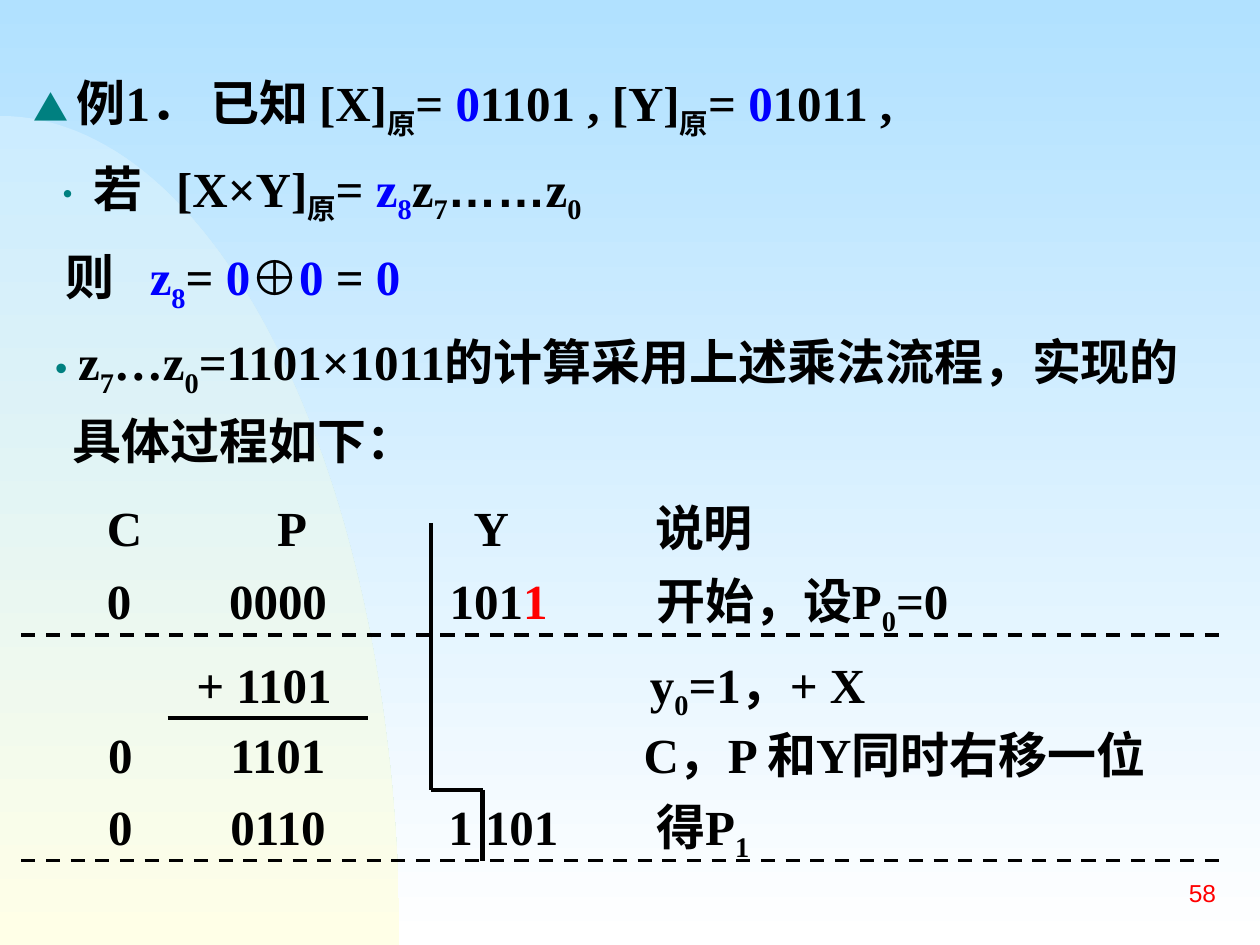
import itertools
from typing import NamedTuple

import pptx
import pptx.dml.color
import pptx.enum.dml
import pptx.enum.shapes
import pptx.enum.text
import pptx.oxml.ns
import pptx.util
from lxml import etree
from pptx.util import Inches

COLORS = {
    "sky": "B1E1FF", "white": "FFFFFF", "mist": "CCECFF", "cream": "FFFFE7",
    "black": "000000", "blue": "0000FF", "red": "FF0000", "teal": "008080",
}
SERIF = "Times New Roman"
SANS = "Arial"


class Span(NamedTuple):
    text: str
    color: str = "black"
    font: str = SERIF
    size: int = 28
    bold: bool = True
    subscript: bool = False


class Para(NamedTuple):
    spans: list[Span]
    tabs: tuple[float, ...] = ()
    line_spacing: float = 1.0
    space_after: float = 0
    margin: float = 0
    indent: float = 0
    align: str = "LEFT"


class TextBlock(NamedTuple):
    left: float
    top: float
    width: float
    height: float
    paras: list[Para]


class Rule(NamedTuple):
    points: list[tuple[float, float]]
    width: float = 2.5
    dashed: bool = False


def sub(text: str, color: str = "black") -> Span:
    return Span(text, color, subscript=True)


def mark(text: str, font: str = SANS) -> Span:
    return Span(text, "teal", font, 20, False)


def rgb(name: str) -> pptx.dml.color.RGBColor:
    return pptx.dml.color.RGBColor.from_string(COLORS[name])


def fill_downward(fill, top_color: str, bottom_color: str) -> None:
    fill.gradient()
    fill.gradient_angle = 270
    for stop, position, color in zip(fill.gradient_stops, (0, 1), (top_color, bottom_color)):
        stop.position = position
        stop.color.rgb = rgb(color)


def add_hill(slide) -> None:
    """Draw the curved area at the lower left, tracing a cubic curve in short steps."""
    controls = [(0, 0.92), (1.75, 0.92), (3.17, 3.87), (3.17, 7.5)]
    steps = 60
    curve = []
    for step in range(steps + 1):
        t = step / steps
        weights = ((1 - t) ** 3, 3 * t * (1 - t) ** 2, 3 * t ** 2 * (1 - t), t ** 3)
        curve.append(tuple(Inches(sum(w * c[axis] for w, c in zip(weights, controls)))
                           for axis in (0, 1)))
    builder = slide.shapes.build_freeform(*curve[0], scale=1.0)
    builder.add_line_segments(curve[1:] + [(0, Inches(7.5))], close=True)
    hill = builder.convert_to_shape()
    hill.shadow.inherit = False
    hill.line.fill.background()
    fill_downward(hill.fill, "mist", "cream")


def add_rule(slide, rule: Rule) -> None:
    for start, end in itertools.pairwise(rule.points):
        line = slide.shapes.add_connector(
            pptx.enum.shapes.MSO_CONNECTOR.STRAIGHT, *map(Inches, start + end))
        line.line.color.rgb = rgb("black")
        line.line.width = pptx.util.Pt(rule.width)
        if rule.dashed:
            line.line.dash_style = pptx.enum.dml.MSO_LINE.DASH
        etree.SubElement(line._element.spPr, pptx.oxml.ns.qn("a:effectLst"))


def write_para(paragraph, para: Para) -> None:
    """Fill a paragraph; an explicit indent would cancel its tab stops, so zero is left out."""
    properties = paragraph._p.get_or_add_pPr()
    if para.indent:
        properties.set("marL", str(Inches(para.margin)))
        properties.set("indent", str(Inches(para.indent)))
    paragraph.alignment = getattr(pptx.enum.text.PP_ALIGN, para.align)
    paragraph.line_spacing = para.line_spacing
    paragraph.space_after = pptx.util.Pt(para.space_after)
    if para.tabs:
        tab_list = etree.SubElement(properties, pptx.oxml.ns.qn("a:tabLst"))
        for position in para.tabs:
            etree.SubElement(tab_list, pptx.oxml.ns.qn("a:tab"),
                             pos=str(Inches(position)), algn="l")
    for span in para.spans:
        run = paragraph.add_run()
        run.text = span.text
        run.font.name = span.font
        run.font.size = pptx.util.Pt(span.size)
        run.font.bold = span.bold
        run.font.color.rgb = rgb(span.color)
        if span.subscript:
            run._r.get_or_add_rPr().set("baseline", "-25000")


def add_text(slide, block: TextBlock) -> None:
    box = slide.shapes.add_textbox(*map(Inches, block[:4]))
    frame = box.text_frame
    frame.word_wrap = True
    for index, para in enumerate(block.paras):
        write_para(frame.add_paragraph() if index else frame.paragraphs[0], para)


TEXTS = [
    TextBlock(0.17, 0.53, 9.58, 0.63, [Para([
        mark("▲ ", SERIF), Span("例1． 已知 [X]"), sub("原"), Span("= "), Span("0", "blue"),
        Span("1101 , [Y]"), sub("原"), Span("= "), Span("0", "blue"), Span("1011 ,")])]),
    TextBlock(0.17, 1.21, 9.58, 1.34, [
        Para([mark("\t• "), Span("若\t[X×Y]"), sub("原"), Span("= "), Span("z", "blue"),
              sub("8", "blue"), Span("z"), sub("7"), Span("……", font=SANS), Span("z"),
              sub("0")], tabs=(0.13, 1.13), space_after=12.2),
        Para([Span("\t则\t"), Span("z", "blue"), sub("8", "blue"), Span("= "),
              Span("0", "blue"), Span("⊕", font=SANS), Span("0", "blue"), Span(" = "),
              Span("0", "blue")], tabs=(0.25, 0.92))]),
    TextBlock(0.17, 2.48, 9.58, 1.3, [Para([
        mark("•"), Span(" ", size=24, bold=False), Span("z"), sub("7"), Span("…z"), sub("0"),
        Span("=1101×1011的计算采用上述乘法流程，实现的具体过程如下：")],
        line_spacing=1.2, margin=0.31, indent=-0.14)]),
    TextBlock(0.17, 3.81, 9.58, 1.3, [
        Para([Span("\tC\tP\tY\t说明")], tabs=(0.58, 1.93, 3.49, 4.93), line_spacing=1.2),
        Para([Span("\t0\t0000\t101"), Span("1", "red"), Span("\t开始，设P"), sub("0"),
              Span("=0")], tabs=(0.58, 1.55, 3.3, 4.94), line_spacing=1.2)]),
    TextBlock(0.17, 5.04, 9.57, 0.74, [Para(
        [Span("\t+ 1101\ty"), sub("0"), Span("=1，+ X")],
        tabs=(1.29, 4.89), line_spacing=1.2)]),
    TextBlock(0.18, 5.7, 9.57, 0.63, [Para(
        [Span("\t0\t1101\tC，P 和Y同时右移一位")], tabs=(0.58, 1.55, 4.83))]),
    TextBlock(0.18, 6.27, 9.55, 0.63, [Para(
        [Span("\t0\t0110\t1 101\t得P"), sub("1")], tabs=(0.58, 1.55, 3.28, 4.93))]),
    TextBlock(7.67, 6.92, 2.08, 0.33, [Para(
        [Span("58", "red", SANS, 14, False)], align="RIGHT")]),
]

RULES = [
    Rule([(3.42, 4.15), (3.42, 5.04), (3.42, 5.7), (3.42, 6.27), (3.83, 6.27), (3.83, 6.83)]),
    Rule([(1.33, 5.7), (2.92, 5.7)]),
    Rule([(0.17, 5.04), (9.75, 5.04)], 2, True),
    Rule([(0.17, 6.83), (9.75, 6.83)], 2, True),
]


def main() -> None:
    deck = pptx.Presentation()
    deck.slide_width, deck.slide_height = Inches(10), Inches(7.5)
    slide = deck.slides.add_slide(deck.slide_layouts[6])
    fill_downward(slide.background.fill, "sky", "white")
    add_hill(slide)
    for block in TEXTS:
        add_text(slide, block)
    for rule in RULES:
        add_rule(slide, rule)
    deck.save("out.pptx")


if __name__ == "__main__":
    main()
